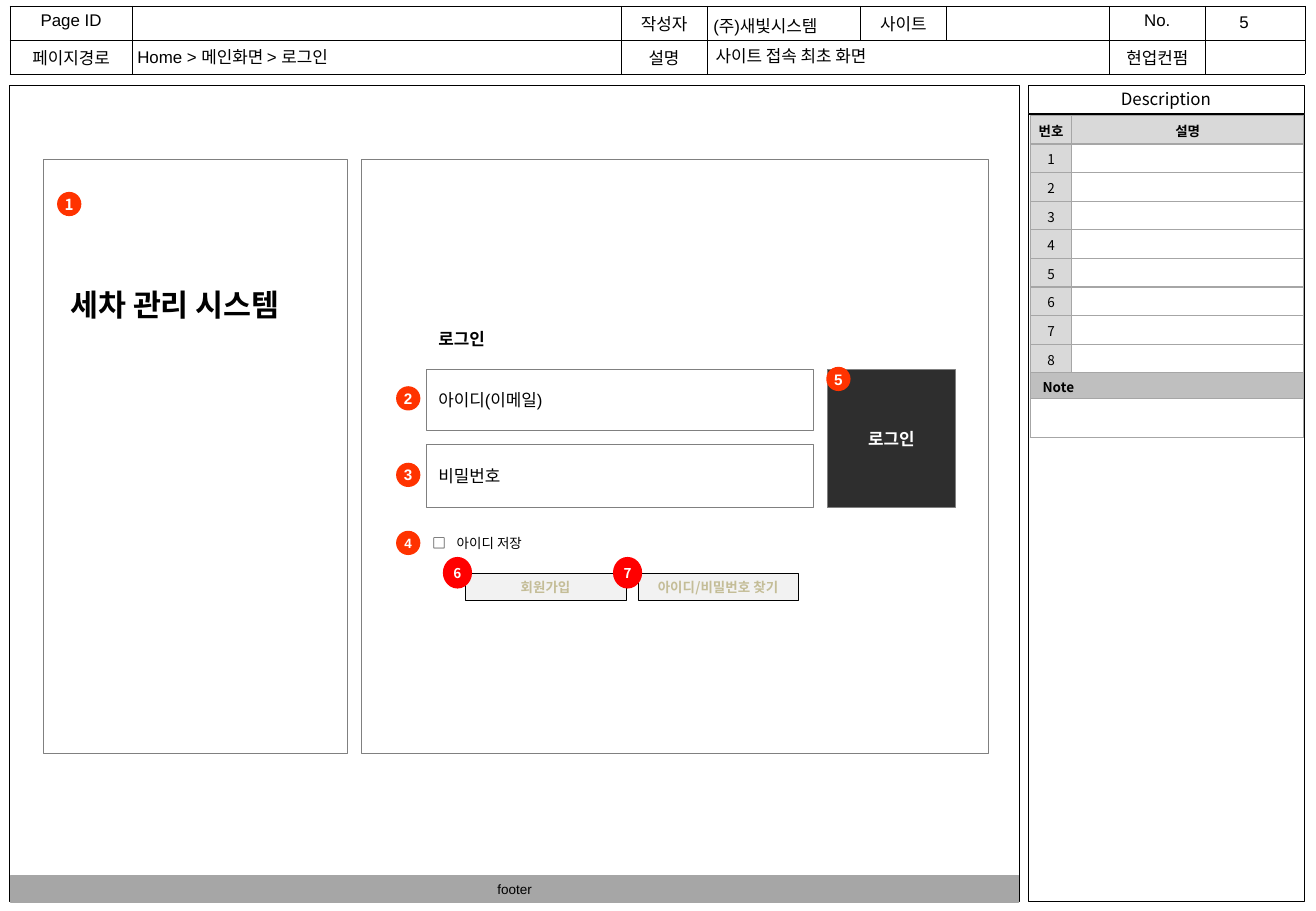
from lxml.etree import SubElement
from pptx import Presentation
from pptx.dml.color import RGBColor
from pptx.enum.shapes import MSO_SHAPE
from pptx.enum.text import MSO_ANCHOR as ANCHOR, PP_ALIGN as ALIGN
from pptx.oxml import parse_xml
from pptx.oxml.ns import nsdecls, qn
from pptx.util import Pt

PX = 9144  # 100 px to the inch
SANS, NOTO = "Arial", "Noto Sans CJK KR"
RECT, OVAL = MSO_SHAPE.RECTANGLE, MSO_SHAPE.OVAL
BLACK, WHITE, GRAY = "000000", "FFFFFF", "808080"
rgb = RGBColor.from_string


def write(tf, text, size, font=SANS, color=BLACK, bold=False, align=ALIGN.LEFT):
    p = tf.paragraphs[0]
    p.text = text
    p.alignment = align
    p.font.name, p.font.size, p.font.bold = font, Pt(size), bold
    p.font.color.rgb = rgb(color)
    SubElement(p.font._rPr, qn("a:ea"), typeface=NOTO)
    if not text:
        SubElement(p._p, qn("a:endParaRPr"), sz=str(size * 100))
    return p


def box(kind, x, y, w, h, fill=None, line=None, weight=0.25):
    sp = s.shapes.add_shape(kind, x * PX, y * PX, w * PX, h * PX)
    sp.shadow.inherit = False
    if fill:
        sp.fill.solid()
        sp.fill.fore_color.rgb = rgb(fill)
    else:
        sp.fill.background()
    if line:
        sp.line.color.rgb = rgb(line)
        sp.line.width = Pt(weight)
    else:
        sp.line.fill.background()
    sp.text_frame.vertical_anchor = ANCHOR.MIDDLE
    return sp.text_frame


prs = Presentation()
prs.slide_width, prs.slide_height = 1083 * PX, 750 * PX
s = prs.slides.add_slide(prs.slide_layouts[6])

# Page frames
box(RECT, 846, 94, 227, 648, WHITE, BLACK)
tf = box(RECT, 846, 70, 227, 23, WHITE, BLACK)
write(tf, "Description", 10, NOTO, align=ALIGN.CENTER)
box(RECT, 8, 70, 831, 672, WHITE, BLACK)

# Page information and description tables
info_rows = [
    ["Page ID", "", "작성자", "", "사이트", "", "No.", ""],
    ["페이지경로", "", "설명", "", "", "", "현업컨펌", ""],
]
desc_rows = [["번호", "설명"]] + [[str(n), ""] for n in range(1, 9)] + [["Note", ""], ["", ""]]
tables = [
    (info_rows, 8, 5, [101, 402, 71, 126, 71, 134, 79, 82], [28, 28],
     BLACK, 0.25, SANS, 10, ANCHOR.TOP, (4, 3)),
    (desc_rows, 848, 95, [34, 191], [212 / 9] * 9 + [21, 32],
     "A6A6A6", 0.75, NOTO, 8, ANCHOR.MIDDLE, (3, 2)),
]
for rows, x, y, widths, heights, line, weight, font, size, anchor, pads in tables:
    table = s.shapes.add_table(len(rows), len(widths), x * PX, y * PX,
                               sum(widths) * PX, round(sum(heights) * PX)).table
    table.first_row = table.horz_banding = False
    for col, w in zip(table.columns, widths):
        col.width = w * PX
    for row, h in zip(table.rows, heights):
        row.height = round(h * PX)
    for r, texts in enumerate(rows):
        for c, text in enumerate(texts):
            cell = table.cell(r, c)
            for side in ("lnL", "lnR", "lnT", "lnB"):
                cell._tc.get_or_add_tcPr().append(parse_xml(
                    f'<a:{side} {nsdecls("a")} w="{Pt(weight)}"><a:solidFill>'
                    f'<a:srgbClr val="{line}"/></a:solidFill></a:{side}>'))
            cell.fill.background()
            cell.vertical_anchor = anchor
            cell.margin_left = cell.margin_right = 4 * PX
            cell.margin_top, cell.margin_bottom = (pad * PX for pad in pads)
            bold = text in ("번호", "Note") or (rows is desc_rows and r == 0)
            write(cell.text_frame, text, size, font, bold=bold, align=ALIGN.CENTER)
            if rows is desc_rows:
                cell.fill.solid()
                shade = "BFBFBF" if r == 9 else "D9D9D9" if r == 0 or (c == 0 and r < 9) else WHITE
                cell.fill.fore_color.rgb = rgb(shade)
    if rows is info_rows:
        table.cell(1, 3).merge(table.cell(1, 5))
    else:
        for r in (9, 10):
            table.cell(r, 0).merge(table.cell(r, 1))
        note = table.cell(9, 0)
        note.margin_left = 10 * PX
        note.text_frame.paragraphs[0].alignment = ALIGN.LEFT

# Values in the page information table
for text, x, y, w in [
    ("사이트 접속 최초 화면", 585, 34, 323),
    ("Home > 메인화면 > 로그인", 109, 35, 398),
    ("(주)새빛시스템", 583, 9, 117),
    ("5", 1016, 6, 38),
]:
    tf = s.shapes.add_textbox(x * PX, y * PX, w * PX, 24 * PX).text_frame
    tf.word_wrap = True
    tf.vertical_anchor = ANCHOR.MIDDLE
    tf.margin_left = tf.margin_right = tf.margin_top = tf.margin_bottom = 4 * PX
    write(tf, text, 10)

# Login screen
box(RECT, 36, 131, 250, 489, line=GRAY)
box(RECT, 297, 131, 516, 489, line=GRAY)
for text, x, y, w, h, size in [
    ("세차 관리 시스템", 48, 216, 233, 48, 18),
    ("로그인", 351, 257, 98, 35, 10),
]:
    tf = s.shapes.add_textbox(x * PX, y * PX, w * PX, h * PX).text_frame
    tf.word_wrap = True
    write(tf, text, size, bold=True).line_spacing = 1.5

for text, y, h in [("아이디(이메일)", 304, 50), ("비밀번호", 366, 52)]:
    write(box(RECT, 351, y, 318, h, line=GRAY), text, 10)
tf = box(RECT, 681, 304, 105, 114, "2E2E2E", GRAY)
write(tf, "로그인", 10, color=WHITE, bold=True, align=ALIGN.CENTER)

tf = s.shapes.add_textbox(346 * PX, 436 * PX, 120 * PX, 24 * PX).text_frame
tf.word_wrap = True
p = write(tf, "□\t아이디 저장", 8)
p._p.get_or_add_pPr().insert(0, parse_xml(
    f'<a:tabLst {nsdecls("a")}><a:tab pos="{20 * PX}" algn="l"/></a:tabLst>'))

for text, x in [("회원가입", 383), ("아이디/비밀번호 찾기", 525)]:
    tf = box(RECT, x, 472, 132, 22, "F2F2F2", BLACK)
    write(tf, text, 8, NOTO, "C4BD97", True, ALIGN.CENTER)

tf = box(RECT, 9, 721, 829, 22, "A6A6A6", "A6A6A6", 0.75)
write(tf, "footer", 8, align=ALIGN.CENTER)

# Numbered badges
ORANGE, RED = "FF3300", "FF0000"
for number, x, y, w, h, fill, line, font, size in [
    ("1", 47, 158, 20, 20, ORANGE, None, NOTO, 9),
    ("2", 326, 318, 20, 20, ORANGE, None, SANS, 9),
    ("3", 326, 381, 20, 20, ORANGE, None, SANS, 9),
    ("4", 326, 437, 20, 20, ORANGE, None, SANS, 8),
    ("5", 680, 302, 20, 20, ORANGE, None, SANS, 9),
    ("6", 365, 459, 23, 25, RED, RED, NOTO, 8),
    ("7", 505, 459, 23, 25, RED, RED, NOTO, 8),
]:
    tf = box(OVAL, x, y, w, h, fill, line, 0.75)
    tf.word_wrap = False
    tf.margin_left = tf.margin_right = tf.margin_top = tf.margin_bottom = 0
    write(tf, number, size, font, WHITE, True, ALIGN.CENTER)

prs.save("out.pptx")
